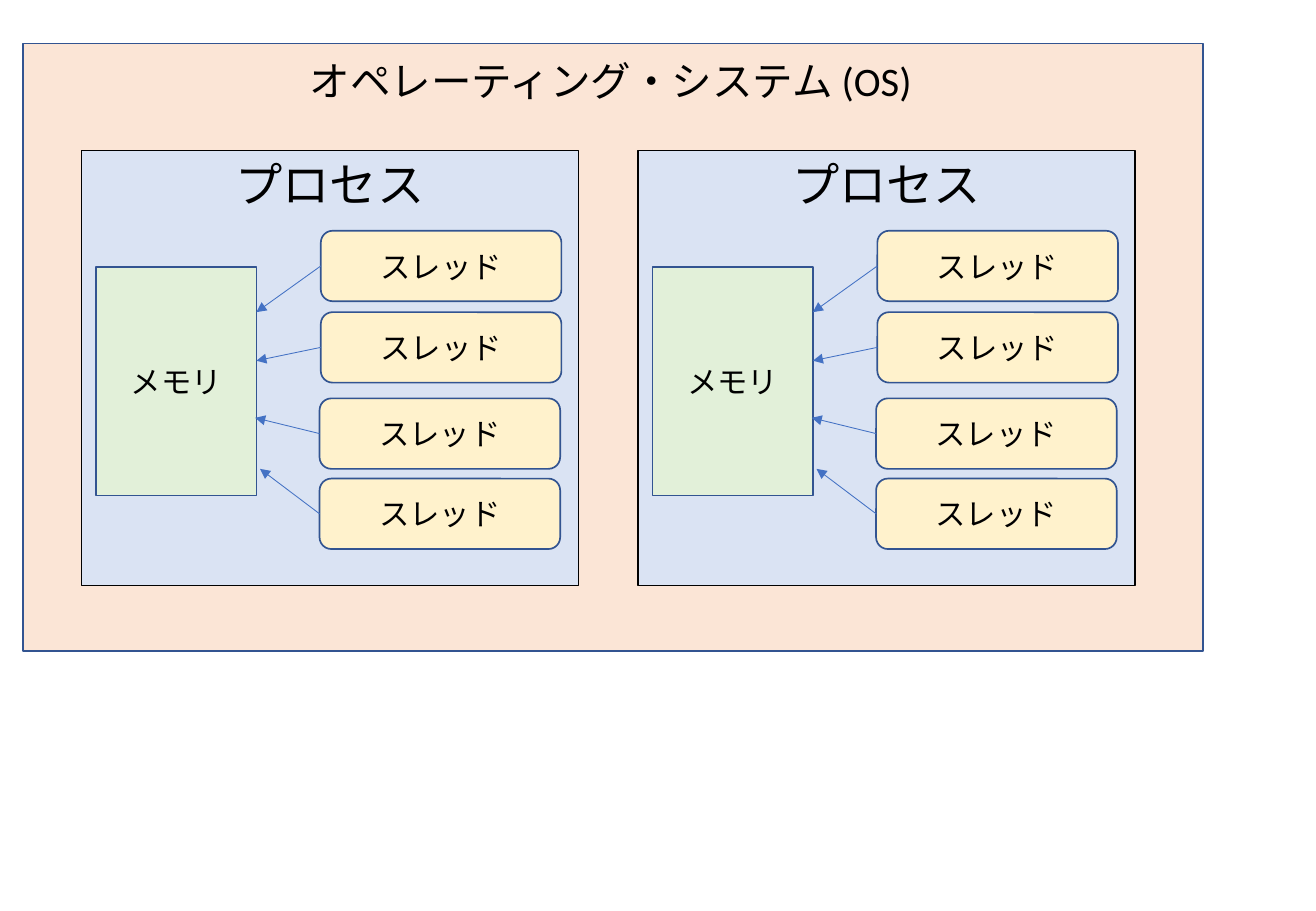
import pptx
import pptx.util
import pptx.dml.color
import pptx.enum.shapes
import pptx.enum.text
import pptx.oxml
import lxml.etree
from pptx.util import Inches

SYSTEM = {"title": "オペレーティング・システム (OS)", "box": (0.19, 0.36, 9.71, 5), "title_box": (0.17, 0.41, 9.71, 0.5)}
PROCESS = {"title": "プロセス", "box": (0.67, 1.24, 4.09, 3.58), "title_box": (0.68, 1.23, 4.07, 0.57)}
MEMORY = {"label": "メモリ", "box": (0.79, 2.2, 1.32, 1.88)}
THREAD_LABEL = "スレッド"
THREAD_SIZE = (1.98, 0.58)
THREADS = [
    {"corner": (2.64, 1.9), "target": (2.11, 2.57)},
    {"corner": (2.64, 2.57), "target": (2.11, 2.97)},
    {"corner": (2.63, 3.28), "target": (2.1, 3.44)},
    {"corner": (2.63, 3.94), "target": (2.14, 3.86)},
]
PROCESS_COUNT = 2
PROCESS_STEP = 4.58
FONT = "Calibri"
COLORS = {
    "system": "FBE5D6", "process": "DAE3F3", "thread": "FFF2CC", "memory": "E2F0D9",
    "border": "325491", "text": "000000", "arrow": "4472C4",
}
RECT = pptx.enum.shapes.MSO_SHAPE.RECTANGLE
ROUNDED = pptx.enum.shapes.MSO_SHAPE.ROUNDED_RECTANGLE


def color(name):
    return pptx.dml.color.RGBColor.from_string(COLORS[name])


def lengths(box, shift=0):
    left, *rest = box
    return [Inches(value) for value in (left + shift, *rest)]


def write(owner, text, size, frame_format):
    frame = owner.text_frame
    for key, value in frame_format.items():
        setattr(frame, key, value)
    paragraph = frame.paragraphs[0]
    paragraph.alignment = pptx.enum.text.PP_ALIGN.CENTER
    run = paragraph.add_run()
    run.text = text
    for key, value in {"name": FONT, "size": pptx.util.Pt(size)}.items():
        setattr(run.font, key, value)
    run.font.color.rgb = color("text")


def add_box(shapes, kind, box, fill, border="border", label=None):
    shape = shapes.add_shape(kind, *box)
    shape.shadow.inherit = False
    shape.fill.solid()
    shape.fill.fore_color.rgb = color(fill)
    shape.line.color.rgb = color(border)
    shape.line.width = pptx.util.Pt(1)
    if label:
        write(shape, label, 18, {"word_wrap": True, "vertical_anchor": pptx.enum.text.MSO_ANCHOR.MIDDLE})
    return shape


def add_title(shapes, text, box, size):
    title = shapes.add_textbox(*box)
    write(title, text, size, {"word_wrap": True, "auto_size": pptx.enum.text.MSO_AUTO_SIZE.SHAPE_TO_FIT_TEXT})


def add_arrow(shapes, thread, target):
    arrow = shapes.add_connector(
        pptx.enum.shapes.MSO_CONNECTOR.STRAIGHT, thread.left, thread.top + thread.height // 2, *target)
    arrow.begin_connect(thread, 1)
    arrow.line.color.rgb = color("arrow")
    arrow.line.width = pptx.util.Pt(0.5)
    properties = arrow.line._get_or_add_ln()
    tail = lxml.etree.SubElement(properties, pptx.oxml.ns.qn("a:tailEnd"))
    tail.set("type", "triangle")
    lxml.etree.SubElement(properties.getparent(), pptx.oxml.ns.qn("a:effectLst"))


def add_process(slide, shift):
    shapes = slide.shapes.add_group_shape().shapes
    add_box(shapes, RECT, lengths(PROCESS["box"], shift), "process", "text")
    add_title(shapes, PROCESS["title"], lengths(PROCESS["title_box"], shift), 28)
    threads = [
        add_box(shapes, ROUNDED, lengths(thread["corner"] + THREAD_SIZE, shift), "thread", label=THREAD_LABEL)
        for thread in THREADS
    ]
    add_box(shapes, RECT, lengths(MEMORY["box"], shift), "memory", label=MEMORY["label"])
    for shape, thread in zip(threads, THREADS):
        add_arrow(shapes, shape, lengths(thread["target"], shift))


def main():
    deck = pptx.Presentation()
    deck.slide_width, deck.slide_height = Inches(10.83), Inches(7.5)
    slide = deck.slides.add_slide(deck.slide_layouts[6])
    add_box(slide.shapes, RECT, lengths(SYSTEM["box"]), "system")
    for index in range(PROCESS_COUNT):
        add_process(slide, index * PROCESS_STEP)
    add_title(slide.shapes, SYSTEM["title"], lengths(SYSTEM["title_box"]), 24)
    deck.save("out.pptx")


if __name__ == "__main__":
    main()
